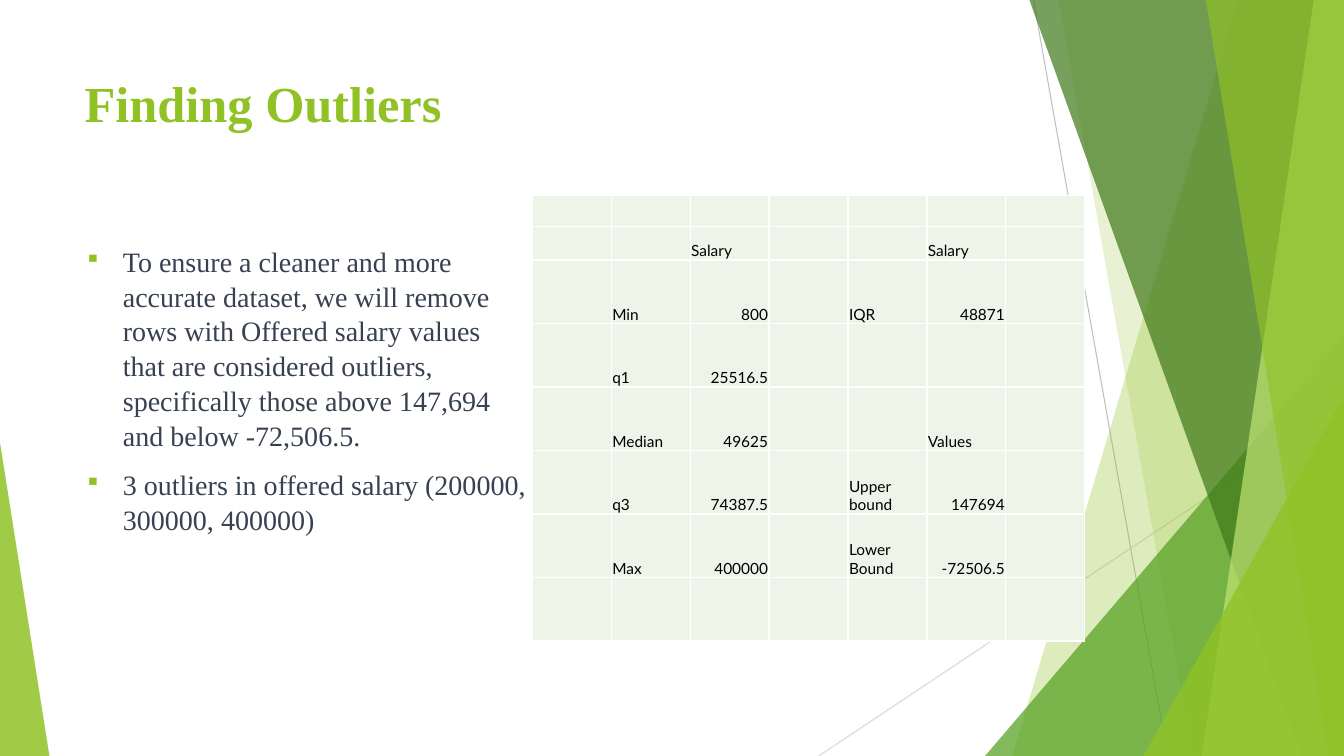
from lxml import etree
from pptx import Presentation
from pptx.dml.color import RGBColor
from pptx.enum.shapes import MSO_CONNECTOR, MSO_SHAPE
from pptx.enum.text import MSO_ANCHOR, MSO_AUTO_SIZE, PP_ALIGN
from pptx.oxml.ns import qn
from pptx.util import Inches, Pt

LEFT, RIGHT = PP_ALIGN.LEFT, PP_ALIGN.RIGHT
TOP, BOTTOM = MSO_ANCHOR.TOP, MSO_ANCHOR.BOTTOM
STRAIGHT, TRIANGLE = MSO_CONNECTOR.STRAIGHT, MSO_SHAPE.ISOSCELES_TRIANGLE
NO_AUTOFIT = MSO_AUTO_SIZE.NONE

TITLE = "Finding Outliers"
POINTS = [
    "To ensure a cleaner and more accurate dataset, we will remove rows with "
    "Offered salary values that are considered outliers, specifically those "
    "above 147,694 and below -72,506.5.",
    "3 outliers in offered salary (200000, 300000, 400000)",
]
STATISTICS = [
    ("", "", "", "", "", "", ""),
    ("", "", "Salary", "", "", "Salary", ""),
    ("", "Min", 800, "", "IQR", 48871, ""),
    ("", "q1", 25516.5, "", "", "", ""),
    ("", "Median", 49625, "", "", "Values", ""),
    ("", "q3", 74387.5, "", "Upper bound", 147694, ""),
    ("", "Max", 400000, "", "Lower Bound", -72506.5, ""),
    ("", "", "", "", "", "", ""),
]

THEME = {
    "serif": "Times New Roman", "sans": "Lato",
    "title": 36, "body": 20, "cell": 11,
    "green": "90C226", "leaf": "54A021", "forest": "3F7819", "lime": "C0E474",
    "slate": "374151", "black": "000000", "cell_fill": "EEF4E8", "border": "FFFFFF",
    "steep_line": "BFBFBF", "shallow_line": "D9D9D9",
}

WIDTH, HEIGHT = 13.33, 7.5
MARGIN = 0.74
TABLE_LEFT, TABLE_TOP, TABLE_WIDTH = 5.28, 1.94, 5.48
ROW_HEIGHTS = [0.31, 0.33] + [0.63] * 6

RAYS = [
    ((10.25, 0), (11.58, HEIGHT), "steep_line"),
    ((WIDTH, 4.03), (8.12, HEIGHT), "shallow_line"),
]
FACETS = [
    ("band", 12.28, 10.04, "green", 30),
    ("band", 10.5, 11.83, "green", 20),
    ("corner", 9.77, 3.33, "leaf", 72),
    ("band", 10.21, 12.91, "forest", 70),
    ("band", 13.03, 11.92, "lime", 70),
    ("band", 11.96, 13.18, "green", 65),
    ("corner", 11.34, 3.93, "green", 80),
]


def color(key):
    return RGBColor.from_string(THEME[key])


def write(frame, texts, font, size, ink, bold=False, align=LEFT, anchor=TOP,
          before=0, spacing=1.0, bullet=None):
    frame.word_wrap = True
    frame.vertical_anchor = anchor
    for index, text in enumerate(texts):
        paragraph = frame.add_paragraph() if index else frame.paragraphs[0]
        paragraph.alignment = align
        paragraph.line_spacing = spacing
        paragraph.space_before = Pt(before)
        if bullet:
            properties = paragraph._p.get_or_add_pPr()
            properties.set("marL", str(Inches(0.38)))
            properties.set("indent", str(-Inches(0.38)))
            tint = etree.SubElement(properties, qn("a:buClr"))
            etree.SubElement(tint, qn("a:srgbClr"), val=THEME["green"])
            etree.SubElement(properties, qn("a:buSzPct"), val="80000")
            etree.SubElement(properties, qn("a:buChar"), char=bullet)
        if not text:
            etree.SubElement(paragraph._p, qn("a:endParaRPr"), sz=str(THEME[size] * 100))
            continue
        run = paragraph.add_run()
        run.text = text
        run.font.name = THEME[font]
        run.font.size = Pt(THEME[size])
        run.font.bold = bold
        run.font.color.rgb = color(ink)


def paint(facet, key, opacity):
    facet.shadow.inherit = False
    facet.line.fill.background()
    facet.fill.solid()
    facet.fill.fore_color.rgb = color(key)
    tint = facet._element.spPr.find(qn("a:solidFill"))[0]
    etree.SubElement(tint, qn("a:alpha"), val=str(opacity * 1000))


def add_band(shapes, top_x, bottom_x):
    outline = shapes.build_freeform(Inches(top_x), 0)
    outline.add_line_segments([
        (Inches(x), Inches(y))
        for x, y in [(WIDTH, 0), (WIDTH, HEIGHT), (bottom_x, HEIGHT)]
    ])
    return outline.convert_to_shape()


def add_corner(shapes, left, top, right=WIDTH, apex=1):
    corner = shapes.add_shape(TRIANGLE, Inches(left), Inches(top),
                              Inches(right - left), Inches(HEIGHT - top))
    corner.adjustments[0] = apex
    return corner


def add_backdrop(shapes):
    for start, end, key in RAYS:
        ray = shapes.add_connector(STRAIGHT, *map(Inches, start + end))
        ray.line.color.rgb = color(key)
        ray.line.width = Pt(0.75)
        etree.SubElement(ray._element.spPr, qn("a:effectLst"))
    builders = {"band": add_band, "corner": add_corner}
    for kind, first, second, key, opacity in FACETS:
        paint(builders[kind](shapes, first, second), key, opacity)
    paint(add_corner(shapes, 0, 4.39, right=0.49, apex=0), "green", 85)


def format_cell(cell, value):
    cell.margin_left = cell.margin_right = cell.margin_top = Inches(0.01)
    cell.margin_bottom = 0
    align = LEFT if isinstance(value, str) else RIGHT
    write(cell.text_frame, [str(value)], "sans", "cell", "black", align=align)
    cell.vertical_anchor = BOTTOM
    properties = cell._tc.get_or_add_tcPr()
    for side in ("lnL", "lnR", "lnT", "lnB"):
        border = etree.SubElement(properties, qn("a:" + side), w=str(Pt(1)))
        tint = etree.SubElement(border, qn("a:solidFill"))
        etree.SubElement(tint, qn("a:srgbClr"), val=THEME["border"])
    cell.fill.solid()
    cell.fill.fore_color.rgb = color("cell_fill")


def add_statistics(shapes):
    columns = len(STATISTICS[0])
    table = shapes.add_table(len(STATISTICS), columns, Inches(TABLE_LEFT), Inches(TABLE_TOP),
                             Inches(TABLE_WIDTH), Inches(sum(ROW_HEIGHTS))).table
    for column in table.columns:
        column.width = Inches(TABLE_WIDTH / columns)
    for row, height in zip(table.rows, ROW_HEIGHTS):
        row.height = Inches(height)
    for row, values in zip(table.rows, STATISTICS):
        for cell, value in zip(row.cells, values):
            format_cell(cell, value)


deck = Presentation()
deck.slide_width, deck.slide_height = Inches(WIDTH), Inches(HEIGHT)
slide = deck.slides.add_slide(deck.slide_layouts[5])
add_backdrop(slide.shapes)

heading = slide.shapes.title
heading.left, heading.top = Inches(MARGIN), Inches(0.67)
heading.width, heading.height = Inches(9.4), Inches(1.44)
heading.text_frame.auto_size = NO_AUTOFIT
write(heading.text_frame, [TITLE], "serif", "title", "green", bold=True)

explanation = slide.shapes.add_textbox(Inches(MARGIN), Inches(2.36), Inches(4.58), Inches(4.24))
write(explanation.text_frame, POINTS, "serif", "body", "slate",
      before=10, spacing=1.04, bullet="▪")

add_statistics(slide.shapes)
deck.save("out.pptx")
